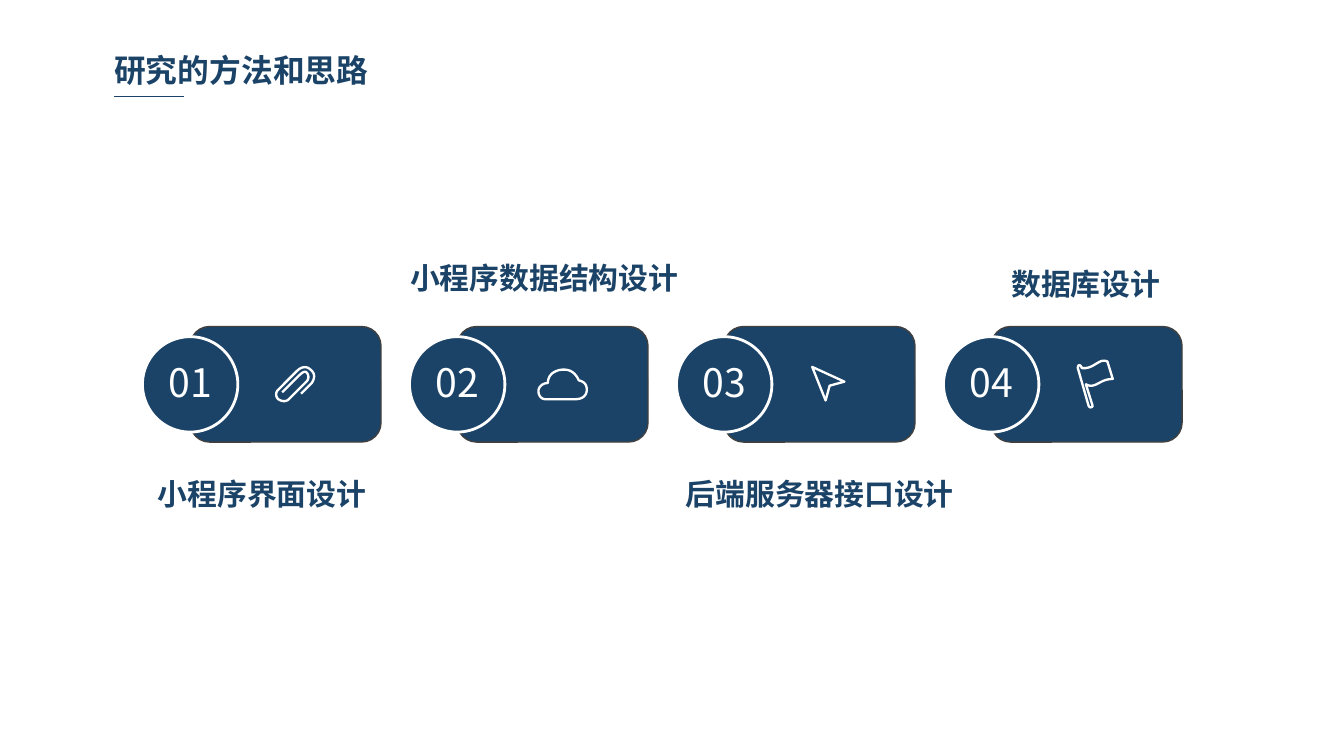
from pptx import Presentation
from pptx.dml.color import RGBColor
from pptx.enum.shapes import MSO_CONNECTOR, MSO_SHAPE
from pptx.enum.text import MSO_ANCHOR, PP_ALIGN
from pptx.oxml.xmlchemy import OxmlElement
from pptx.util import Inches, Pt

FONT = "Noto Sans CJK SC"
NAVY, WHITE, GREY = "1B4367", "FFFFFF", "404040"

TITLE = "研究的方法和思路"

# Icon outlines in inches from the top left of a step:
# a pair is a straight line to a point, six numbers are a Bézier curve
CLIP = [(1.18, .50), (1.26, .42), (1.28, .39, 1.29, .35, 1.25, .32),
        (1.22, .29, 1.18, .30, 1.15, .33), (1.01, .47),
        (.99, .49, .99, .52, 1.01, .54), (1.04, .56, 1.07, .56, 1.09, .54),
        (1.22, .41), (1.24, .39, 1.24, .36, 1.22, .34),
        (1.21, .33, 1.19, .34, 1.17, .36), (1.04, .49)]
CLOUD = [(1.01, .54), (1.24, .54), (1.29, .54, 1.32, .51, 1.32, .47),
         (1.32, .43, 1.30, .41, 1.26, .40), (1.24, .35, 1.20, .32, 1.15, .32),
         (1.08, .32, 1.03, .36, 1.03, .42), (.99, .42, .96, .45, .96, .48),
         (.96, .51, .98, .54, 1.01, .54)]
POINTER = [(1.01, .30), (1.25, .41), (1.14, .44), (1.11, .55), (1.01, .30)]
FLAG = [(1.00, .31), (1.08, .59), (1.09, .61, 1.11, .60, 1.11, .59),
        (1.06, .43), (1.13, .47, 1.16, .39, 1.26, .39), (1.22, .26),
        (1.16, .23, 1.12, .32, 1.03, .31), (1.02, .28, 1.00, .28, 1.00, .31)]

# Number, icon, label, label box (left, top, width, height), wrap
STEPS = [
    ("01", CLIP, "小程序界面设计", (1.06, 3.5, 1.78, .34), True),
    ("02", CLOUD, "小程序数据结构设计", (2.97, 1.89, 2.16, .34), False),
    ("03", POINTER, "后端服务器接口设计", (5.02, 3.5, 2.16, .34), False),
    ("04", FLAG, "数据库设计", (7.45, 1.94, 1.26, .34), False),
]
LEFT, TOP, PITCH = 1.06, 2.43, 5.96 / 3
CARD_W, CARD_H, CIRCLE = 1.42, .86, .71


def rgb(color):
    return RGBColor.from_string(color)


def add_text(tf, text, size, color, bold=False, align=PP_ALIGN.LEFT):
    p = tf.paragraphs[0]
    p.alignment = align
    r = p.add_run()
    r.text = text
    r.font.size, r.font.bold, r.font.name = Pt(size), bold, FONT
    r.font.color.rgb = rgb(color)
    ea = OxmlElement("a:ea")
    ea.set("typeface", FONT)
    r.font._element.find("{*}latin").addnext(ea)


def add_label(s, box, text, size, align, wrap=True):
    tf = s.shapes.add_textbox(*map(Inches, box)).text_frame
    tf.word_wrap = wrap
    tf.margin_left = tf.margin_right = Inches(.07)
    tf.margin_top = tf.margin_bottom = Inches(.04)
    add_text(tf, text, size, NAVY, True, align)


def style(sp, fill, line, width):
    sp.shadow.inherit = False
    if fill:
        sp.fill.solid()
        sp.fill.fore_color.rgb = rgb(fill)
    else:
        sp.fill.background()
    sp.line.color.rgb = rgb(line)
    sp.line.width = Pt(width)


def flatten(outline, steps=10):
    """Turn lines and Bézier curves into a list of points."""
    points = [outline[0]]
    for part in outline[1:]:
        if len(part) == 2:
            points.append(part)
            continue
        x0, y0 = points[-1]
        x1, y1, x2, y2, x3, y3 = part
        for i in range(1, steps + 1):
            t = i / steps
            a, b, c, d = (1 - t) ** 3, 3 * t * (1 - t) ** 2, 3 * t * t * (1 - t), t ** 3
            points.append((a * x0 + b * x1 + c * x2 + d * x3,
                           a * y0 + b * y1 + c * y2 + d * y3))
    return points


def add_icon(shapes, outline, left, top):
    points = [(Inches(left + x), Inches(top + y)) for x, y in flatten(outline)]
    builder = shapes.build_freeform(*points[0])
    builder.add_line_segments(points[1:], close=outline[0] == outline[-1])
    style(builder.convert_to_shape(), None, WHITE, 1.25)


def add_step(s, left, number, icon):
    shapes = s.shapes.add_group_shape().shapes
    # Card behind, starting at the middle of the circle
    card = shapes.add_shape(MSO_SHAPE.ROUNDED_RECTANGLE, Inches(left + CIRCLE / 2),
                            Inches(TOP), Inches(CARD_W), Inches(CARD_H))
    style(card, NAVY, GREY, .75)
    # Numbered circle, centred on the card's height
    circle = shapes.add_shape(MSO_SHAPE.OVAL, Inches(left),
                              Inches(TOP + (CARD_H - CIRCLE) / 2),
                              Inches(CIRCLE), Inches(CIRCLE))
    style(circle, NAVY, WHITE, 1.5)
    tf = circle.text_frame
    tf.word_wrap = False
    tf.vertical_anchor = MSO_ANCHOR.MIDDLE
    tf.margin_left = tf.margin_right = tf.margin_top = tf.margin_bottom = 0
    add_text(tf, number, 21, WHITE, align=PP_ALIGN.CENTER)
    tf.paragraphs[0].line_spacing = .9
    add_icon(shapes, icon, left, TOP)


prs = Presentation()
prs.slide_width, prs.slide_height = Inches(10), Inches(10 * 9 / 16)
s = prs.slides.add_slide(prs.slide_layouts[6])

# Title and its short rule
add_label(s, (.78, .34, 2.47, .36), TITLE, 17, PP_ALIGN.LEFT)
rule = s.shapes.add_connector(MSO_CONNECTOR.STRAIGHT, Inches(.85), Inches(.72),
                              Inches(1.37), Inches(.72))
rule.line.color.rgb = rgb(NAVY)
rule.line.width = Pt(.75)
rule._element.spPr.append(OxmlElement("a:effectLst"))

# Four steps with their labels
for i, (number, icon, label, box, wrap) in enumerate(STEPS):
    add_step(s, LEFT + i * PITCH, number, icon)
    add_label(s, box, label, 16, PP_ALIGN.CENTER, wrap)

prs.save("out.pptx")
